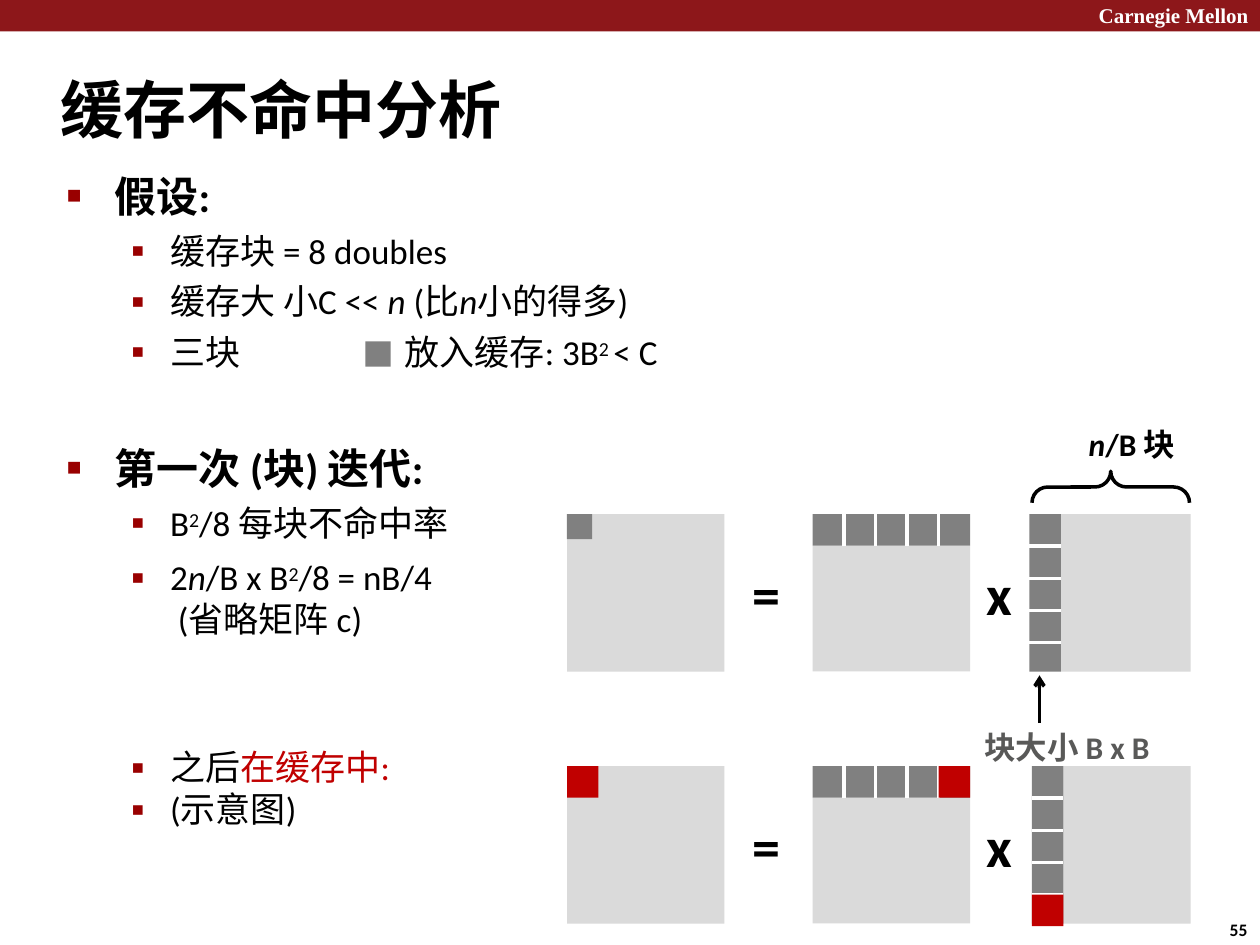
import pptx
import pptx.dml.color
import pptx.enum.shapes
import pptx.oxml.ns
import pptx.util
from lxml import etree

Inches, Pt = pptx.util.Inches, pptx.util.Pt
RGB = pptx.dml.color.RGBColor.from_string
SHAPE = pptx.enum.shapes.MSO_SHAPE

THEME = dict(
    font="Calibri", banner_font="Times New Roman", bullet_font="Arial",
    black="000000", white="FFFFFF", banner="8D171A", red="C00000",
    bullet="990000", matrix="DADADA", block="808080", note="595958",
    title=36, operator=32, head=24, item=20, label=18, small=12, page=10,
    superscript=19.5, line=2,
)

# Labels: left, top, width, height, size, colour, font, runs.
# Run flags: i italic, s superscript, r red.
LABELS = [
    (8.72, 0.02, 1.22, 0.22, "small", "white", "banner_font", [("Carnegie Mellon", "")]),
    (0.48, 0.56, 4.16, 0.6, "title", "black", "font", [("缓存不命中分析", "")]),
    (7.81, 5.78, 1.59, 0.3, "label", "note", "font", [("块大小 B x B", "")]),
    (8.64, 3.37, 1.12, 0.3, "label", "black", "font", [("n", "i"), ("/B 块", "")]),
    (9.76, 7.29, 0.2, 0.17, "page", "black", "font", [("55", "")]),
]

# Text blocks: left, top, width, height, paragraphs (level, space before, runs)
BLOCKS = [
    (0.52, 1.35, 5.31, 1.62, [
        (0, 0, [("假设:", "")]),
        (1, 5, [("缓存块 = 8 doubles", "")]),
        (1, 4.8, [("缓存大 小C << ", ""), ("n ", "i"), ("(比", ""),
                  ("n", "i"), ("小的得多)", "")]),
        (1, 4.8, [("三块\t放入缓存: 3B", ""), ("2 ", "s"), ("< C", "")]),
    ]),
    (0.52, 3.51, 4.18, 0.4, [(0, 0, [("第一次 (块) 迭代:", "")])]),
    (1.02, 3.98, 3.3, 1.11, [
        (1, 0, [("B", ""), ("2", "s"), ("/8 每块不命中率", "")]),
        (1, 7, [("2", ""), ("n", "i"), ("/B x B", ""), ("2", "s"),
                ("/8 = nB/4", ""), ("\n", ""), (" (省略矩阵 c)", "")]),
    ]),
    (1.02, 5.92, 2.59, 0.7, [
        (1, 0, [("之后", ""), ("在缓存中:", "r")]),
        (1, 0, [("(示意图)", "")]),
    ]),
]
# Per level: text position on the slide, hanging indent, bullet, bullet %, size
LEVELS = [(0.91, 0.38, "■", 58, "head"), (1.35, 0.31, "▪", 110, "item")]
TAB_X = 3.21

# Matrix equations: top, left of block column, size of result block, ends in cache
EQUATIONS = [(4.08, 8.17, 0.2, False), (6.08, 8.19, 0.25, True)]
RESULT_X, ROW_X, RIGHT_EDGE = 4.5, 6.45, 9.45
SIDE, BLOCK, PITCH, BLOCKS_PER_SIDE = 1.25, 0.25, 0.255, 5
OPERATORS = [("=", 5.97), ("x", 7.83)]


def add_rect(s, x, y, w, h, color):
    sp = s.shapes.add_shape(SHAPE.RECTANGLE, Inches(x), Inches(y), Inches(w), Inches(h))
    sp.shadow.inherit = False
    sp.fill.solid()
    sp.fill.fore_color.rgb = RGB(THEME[color])
    sp.line.fill.background()


def add_line(s, x1, y1, x2, y2, color, arrow=False):
    c = s.shapes.add_connector(pptx.enum.shapes.MSO_CONNECTOR.STRAIGHT,
                               Inches(x1), Inches(y1), Inches(x2), Inches(y2))
    c.line.color.rgb = RGB(THEME[color])
    c.line.width = Pt(THEME["line"])
    if arrow:
        etree.SubElement(c.line._get_or_add_ln(), pptx.oxml.ns.qn("a:tailEnd"), type="arrow")
    etree.SubElement(c._element.spPr, pptx.oxml.ns.qn("a:effectLst"))


def add_frame(s, x, y, w, h, wrap):
    tf = s.shapes.add_textbox(Inches(x), Inches(y), Inches(w), Inches(h)).text_frame
    tf.margin_left = tf.margin_right = tf.margin_top = tf.margin_bottom = 0
    tf.word_wrap = wrap
    return tf


def add_runs(p, runs, size, color="black", font="font", bold=False):
    for text, flags in runs:
        if text == "\n":
            p.add_line_break()
            continue
        r = p.add_run()
        r.text = text
        r.font.name = THEME[font]
        r.font.size = Pt(THEME["superscript" if "s" in flags else size])
        r.font.bold = bold
        r.font.italic = "i" in flags
        r.font.color.rgb = RGB(THEME["red" if "r" in flags else color])
        if "s" in flags:
            r._r.get_or_add_rPr().set("baseline", "26000")


def add_bullet(p, margin, hang, char, percent, tab):
    pPr = p._p.get_or_add_pPr()
    pPr.set("marL", str(Inches(margin)))
    pPr.set("indent", str(-Inches(hang)))

    def sub(parent, tag, **attrs):
        return etree.SubElement(parent, pptx.oxml.ns.qn("a:" + tag), **attrs)

    sub(sub(pPr, "buClr"), "srgbClr", val=THEME["bullet"])
    sub(pPr, "buSzPct", val=str(percent * 1000))
    sub(pPr, "buFont", typeface=THEME["bullet_font"])
    sub(pPr, "buChar", char=char)
    tabs = sub(pPr, "tabLst")
    for pos in (margin, tab):
        sub(tabs, "tab", pos=str(Inches(pos)), algn="l")


def add_block(s, x, y, w, h, paragraphs):
    tf = add_frame(s, x, y, w, h, True)
    for i, (level, before, runs) in enumerate(paragraphs):
        p = tf.add_paragraph() if i else tf.paragraphs[0]
        p.level = level
        text_x, hang, char, percent, size = LEVELS[level]
        if before:
            p.space_before = Pt(before)
        add_bullet(p, text_x - x, hang, char, percent, TAB_X - x)
        add_runs(p, runs, size, bold=level == 0)


def add_equation(s, top, col_x, result, cached):
    """Draw result = row of blocks x column of blocks; cached marks the last ones red."""
    inner_x = col_x + BLOCK
    add_rect(s, RESULT_X, top, SIDE, SIDE, "matrix")
    add_rect(s, ROW_X, top + BLOCK, SIDE, SIDE - BLOCK, "matrix")
    add_rect(s, inner_x, top, RIGHT_EDGE - inner_x, SIDE, "matrix")
    add_rect(s, RESULT_X, top, result, result, "red" if cached else "block")
    add_rect(s, ROW_X, top, SIDE, BLOCK, "block")
    add_rect(s, col_x, top, BLOCK, SIDE, "block")
    for k in range(1, BLOCKS_PER_SIDE):
        x, y = ROW_X + k * BLOCK, top + k * PITCH
        add_line(s, x, top, x, top + BLOCK, "white")
        add_line(s, col_x, y, inner_x, y, "white")
    if cached:
        last = BLOCKS_PER_SIDE - 1
        add_rect(s, ROW_X + last * BLOCK, top, BLOCK, BLOCK, "red")
        add_rect(s, col_x, top + last * PITCH, BLOCK, BLOCK, "red")
    for sign, x in OPERATORS:
        tf = add_frame(s, x, top + 0.36, 0.25, 0.57, False)
        add_runs(tf.paragraphs[0], [(sign, "")], "operator", bold=True)


def add_top_brace(s, x, y, w, h):
    """Turn a left brace a quarter so that it spans the given box, point up."""
    sp = s.shapes.add_shape(SHAPE.LEFT_BRACE, Inches(x + (w - h) / 2),
                            Inches(y + (h - w) / 2), Inches(h), Inches(w))
    sp.rotation = 90
    sp.adjustments[0] = 0.5
    sp.shadow.inherit = False
    sp.fill.background()
    sp.line.color.rgb = RGB(THEME["black"])
    sp.line.width = Pt(THEME["line"])


def main():
    prs = pptx.Presentation()
    prs.slide_width, prs.slide_height = Inches(10), Inches(7.5)
    s = prs.slides.add_slide(prs.slide_layouts[6])
    add_rect(s, 0, 0, 10, 0.25, "banner")
    for block in BLOCKS:
        add_block(s, *block)
    add_rect(s, 2.9, 2.71, 0.2, 0.2, "block")
    for equation in EQUATIONS:
        add_equation(s, *equation)
    add_line(s, 8.25, 5.74, 8.25, 5.36, "black", arrow=True)
    add_top_brace(s, 8.19, 3.74, 1.25, 0.25)
    for x, y, w, h, size, color, font, runs in LABELS:
        tf = add_frame(s, x, y, w, h, False)
        add_runs(tf.paragraphs[0], runs, size, color, font, bold=True)
    prs.save("out.pptx")


if __name__ == "__main__":
    main()
